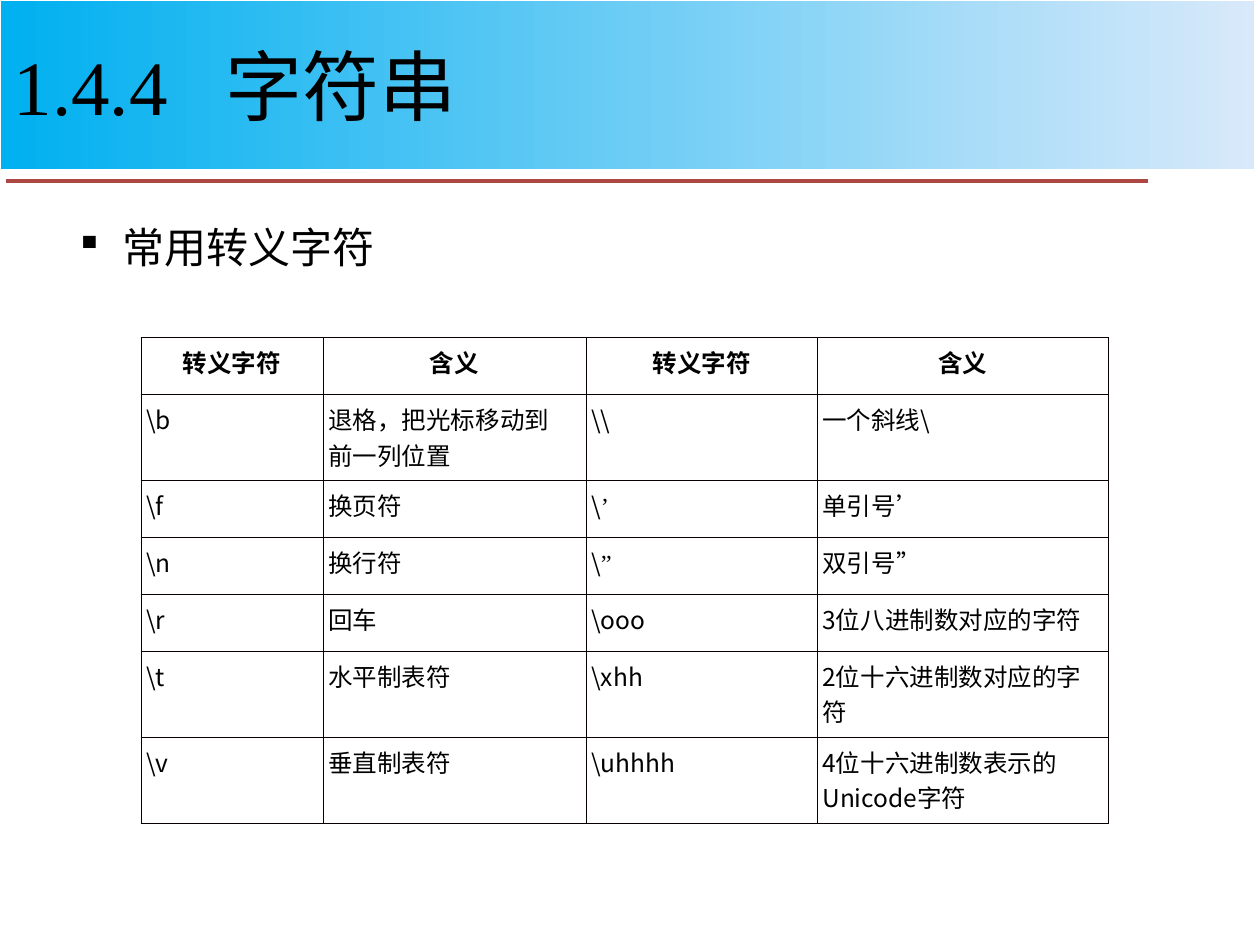
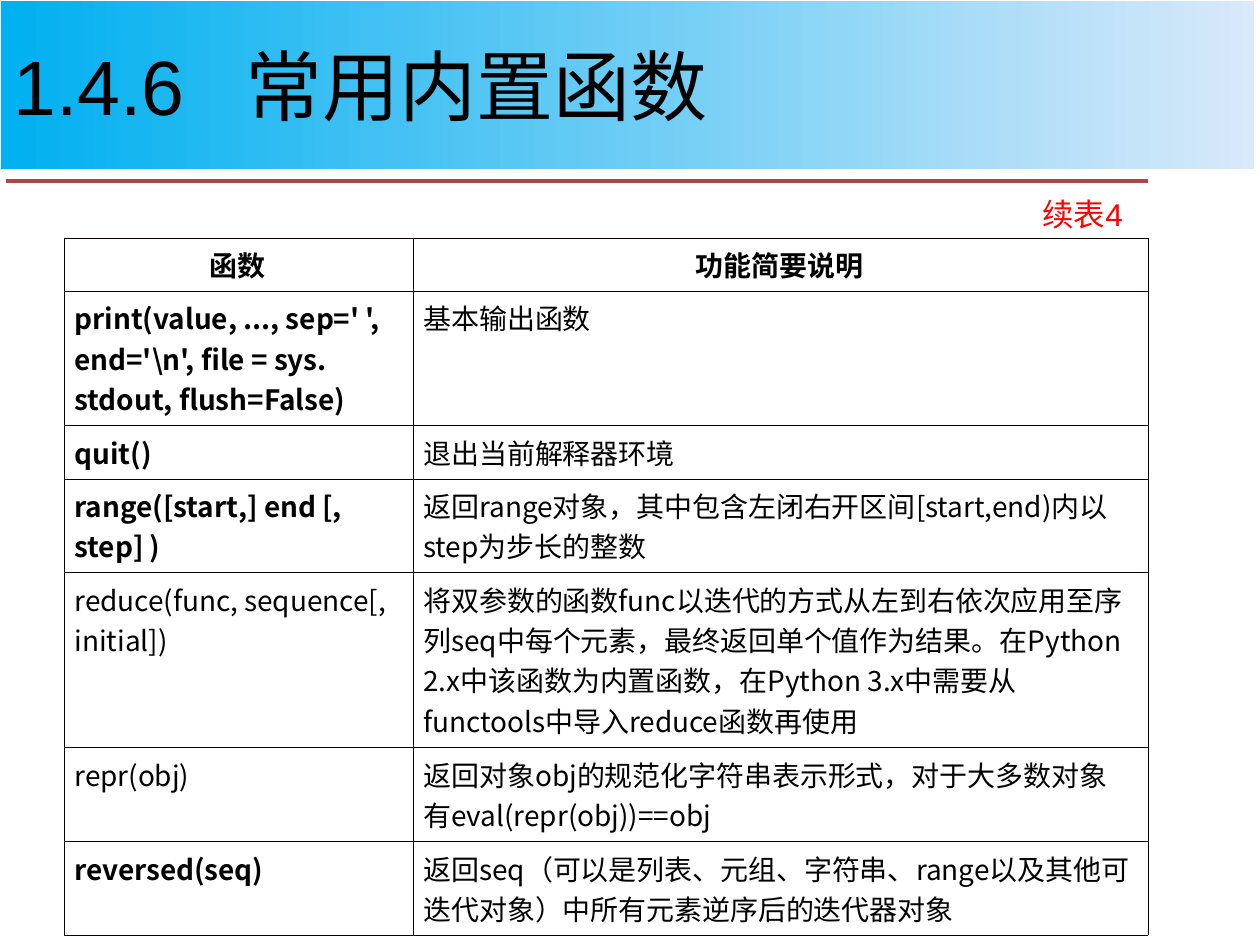
"""Build two slides on Python escape characters and built-in functions."""
from dataclasses import dataclass

from lxml import etree
from pptx import Presentation
from pptx.dml.color import RGBColor
from pptx.enum.shapes import MSO_CONNECTOR, MSO_SHAPE
from pptx.enum.text import MSO_ANCHOR, PP_ALIGN
from pptx.oxml.ns import qn
from pptx.util import Pt

LEFT, CENTER, RIGHT = PP_ALIGN.LEFT, PP_ALIGN.CENTER, PP_ALIGN.RIGHT
MIDDLE = MSO_ANCHOR.MIDDLE
RECTANGLE = MSO_SHAPE.RECTANGLE
STRAIGHT = MSO_CONNECTOR.STRAIGHT

BLACK, RED = "000000", "FF0000"
BAND_START, BAND_END = "00B0F0", "D8E9FA"
RULE, GRID = "AC4744", "080000"
ARIAL, TIMES, CJK = "Arial", "Times New Roman", "Noto Sans CJK SC"
QUOTES = "’”"


@dataclass(frozen=True)
class Title:
    """Section number and name, with the tab stop between them."""
    number: str
    name: str
    font: str
    tab: float


@dataclass(frozen=True)
class Grid:
    """A ruled table with a bold, centred header row."""
    left: float
    top: float
    widths: tuple[float, ...]
    heights: tuple[float, ...]
    size: float
    inset: float
    header_inset: float
    rows: tuple[tuple[str, ...], ...]
    bold_names: tuple[str, ...] = ()


ESCAPES = Grid(
    80.6, 193, (104, 150.4, 132, 166.3),
    (32.5, 49.2, 32.5, 32.5, 32.5, 49.2, 49.2), 14, 3, 7.2,
    (
        ("转义字符", "含义", "转义字符", "含义"),
        (r"\b", "退格，把光标移动到前一列位置", r"\\", "一个斜线\\"),
        (r"\f", "换页符", r"\’", "单引号’"),
        (r"\n", "换行符", r"\”", "双引号”"),
        (r"\r", "回车", r"\ooo", "3位八进制数对应的字符"),
        (r"\t", "水平制表符", r"\xhh", "2位十六进制数对应的字符"),
        (r"\v", "垂直制表符", r"\uhhhh", "4位十六进制数表示的Unicode字符"),
    ),
)

PRINT = r"print(value, ..., sep=' ', end='\n', file = sys. stdout, flush=False)"
QUIT = "quit()"
RANGE = "range([start,] end [, step] )"
REVERSED = "reversed(seq)"

FUNCTIONS = Grid(
    36.8, 136.1, (199.4, 419.8),
    (30.4, 76.8, 30.4, 53.6, 100, 53.6, 53.6), 16, 5.8, 5.8,
    (
        ("函数", "功能简要说明"),
        (PRINT, "基本输出函数"),
        (QUIT, "退出当前解释器环境"),
        (RANGE, "返回range对象，其中包含左闭右开区间[start,end)内以step为步长的整数"),
        ("reduce(func, sequence[, initial])",
         "将双参数的函数func以迭代的方式从左到右依次应用至序列seq中每个元素，"
         "最终返回单个值作为结果。在Python 2.x中该函数为内置函数，"
         "在Python 3.x中需要从functools中导入reduce函数再使用"),
        ("repr(obj)",
         "返回对象obj的规范化字符串表示形式，对于大多数对象有eval(repr(obj))==obj"),
        (REVERSED,
         "返回seq（可以是列表、元组、字符串、range以及其他可迭代对象）"
         "中所有元素逆序后的迭代器对象"),
    ),
    (PRINT, QUIT, RANGE, REVERSED),
)


def rgb(color: str) -> RGBColor:
    """Turn a hex string into a colour."""
    return RGBColor.from_string(color)


def add_xml(parent, tag: str, **attrs: str):
    """Append a drawing element to a parent."""
    return etree.SubElement(parent, qn(tag), attrs)


def style(p, size: float, font: str, color: str = BLACK, bold: bool = False,
          align=LEFT) -> None:
    """Set a paragraph's alignment and its Latin and East Asian fonts."""
    p.alignment = align
    p.font.size, p.font.name, p.font.bold = Pt(size), font, bold
    p.font.color.rgb = rgb(color)
    add_xml(p._p.pPr.find(qn("a:defRPr")), "a:ea", typeface=CJK)


def add_header(slide, title: Title) -> None:
    """Draw the rule, the gradient band and the title."""
    line = slide.shapes.add_connector(STRAIGHT, Pt(3.6), Pt(103.7), Pt(656), Pt(103.7))
    line.line.color.rgb = rgb(RULE)
    line.line.width = Pt(2.25)
    add_xml(line._element.spPr, "a:effectLst")

    sp = slide.shapes.add_shape(RECTANGLE, Pt(0.7), Pt(0.7), Pt(715.7), Pt(95.8))
    sp.shadow.inherit = False
    sp.line.fill.background()
    sp.fill.gradient()
    sp.fill.gradient_angle = 0
    for stop, color in zip(sp.fill.gradient_stops, (BAND_START, BAND_END)):
        stop.color.rgb = rgb(color)
    tf = sp.text_frame
    tf.word_wrap = True
    tf.vertical_anchor = MIDDLE
    p = tf.paragraphs[0]
    p.text = f"{title.number}\t{title.name}"
    tabs = add_xml(p._p.get_or_add_pPr(), "a:tabLst")
    add_xml(tabs, "a:tab", pos=str(Pt(title.tab)), algn="l")
    style(p, 44, title.font)


def add_text(slide, left: float, top: float, width: float, height: float, text: str):
    """Add a wrapping text box and return its paragraph."""
    tf = slide.shapes.add_textbox(Pt(left), Pt(top), Pt(width), Pt(height)).text_frame
    tf.word_wrap = True
    p = tf.paragraphs[0]
    p.text = text
    return p


def add_bullet(p, indent: float) -> None:
    """Give a paragraph a small square bullet and a hanging indent."""
    pPr = p._p.get_or_add_pPr()
    pPr.set("marL", str(Pt(indent)))
    pPr.set("indent", str(-Pt(indent)))
    add_xml(add_xml(pPr, "a:buClr"), "a:srgbClr", val=BLACK)
    add_xml(pPr, "a:buSzPct", val="90000")
    add_xml(pPr, "a:buChar", char="▪")


def add_borders(cell) -> None:
    """Rule all four sides of a cell, ahead of its fill."""
    tcPr = cell._tc.get_or_add_tcPr()
    for index, side in enumerate(("a:lnL", "a:lnR", "a:lnT", "a:lnB")):
        ln = add_xml(tcPr, side, w=str(Pt(0.45)))
        add_xml(add_xml(ln, "a:solidFill"), "a:srgbClr", val=GRID)
        tcPr.insert(index, ln)


def fill_cell(cell, text: str, grid: Grid, header: bool) -> None:
    """Write one cell, with a closing quotation mark in its own font."""
    cell.fill.background()
    add_borders(cell)
    cell.margin_left = Pt(grid.header_inset if header else grid.inset)
    cell.margin_right = Pt(7.2)
    cell.margin_top = cell.margin_bottom = Pt(3.6)
    p = cell.text_frame.paragraphs[0]
    body = text.rstrip(QUOTES)
    p.add_run().text = body
    if body != text:
        r = p.add_run()
        r.text = text[len(body):]
        r.font.name = TIMES
    style(p, grid.size, CJK, bold=header or text in grid.bold_names,
          align=CENTER if header else LEFT)


def add_grid(slide, grid: Grid) -> None:
    """Draw a ruled table."""
    table = slide.shapes.add_table(
        len(grid.rows), len(grid.widths), Pt(grid.left), Pt(grid.top),
        Pt(sum(grid.widths)), Pt(sum(grid.heights))).table
    table.first_row = table.horz_banding = False
    for column, width in zip(table.columns, grid.widths):
        column.width = Pt(width)
    for i, (row, height) in enumerate(zip(grid.rows, grid.heights)):
        table.rows[i].height = Pt(height)
        for j, text in enumerate(row):
            fill_cell(table.cell(i, j), text, grid, header=i == 0)


def main() -> None:
    """Build and save the slides."""
    prs = Presentation()
    prs.slide_width, prs.slide_height = Pt(720), Pt(540)
    blank = prs.slide_layouts[6]

    s = prs.slides.add_slide(blank)
    add_header(s, Title("1.4.4", "字符串", TIMES, 121))
    p = add_text(s, 36, 126, 648, 356.4, "常用转义字符")
    add_bullet(p, 27)
    p.line_spacing = 0.9
    style(p, 24, ARIAL)
    add_grid(s, ESCAPES)

    s = prs.slides.add_slide(blank)
    add_header(s, Title("1.4.6", "常用内置函数", ARIAL, 132.5))
    add_grid(s, FUNCTIONS)
    p = add_text(s, 545, 108, 103.7, 28.8, "续表4")
    style(p, 18, ARIAL, RED, align=RIGHT)

    prs.save("out.pptx")


if __name__ == "__main__":
    main()
